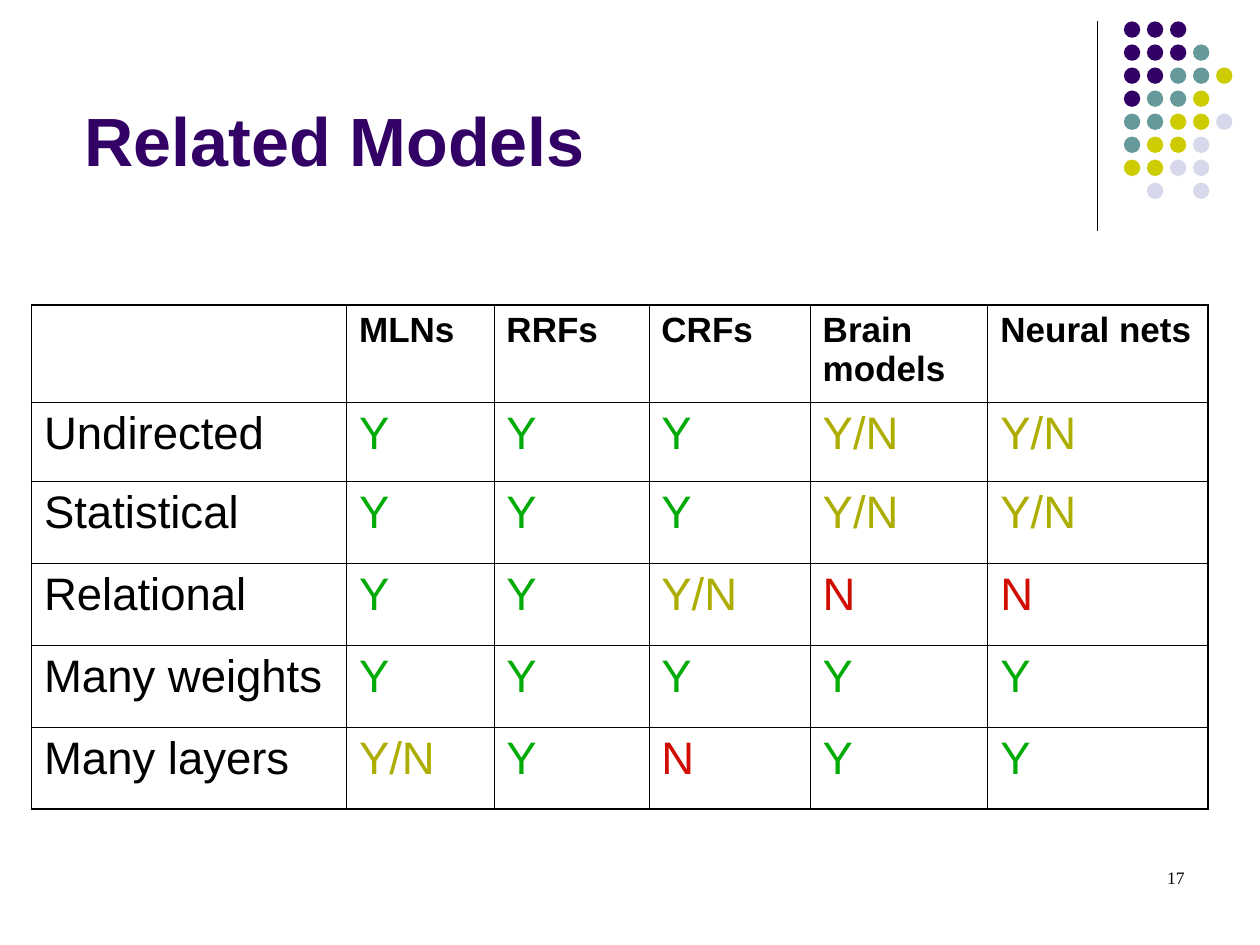
import lxml.etree
import pptx
import pptx.dml.color
import pptx.enum.shapes
import pptx.enum.text
import pptx.oxml
import pptx.oxml.ns
import pptx.util

Inches = pptx.util.Inches
Pt = pptx.util.Pt
RGBColor = pptx.dml.color.RGBColor

BLACK = RGBColor(0x00, 0x00, 0x00)
PURPLE = RGBColor(0x33, 0x00, 0x66)
TEAL = RGBColor(0x66, 0x99, 0x99)
OLIVE = RGBColor(0xCC, 0xCC, 0x00)
LAVENDER = RGBColor(0xD8, 0xD8, 0xEC)
GREEN = RGBColor(0x00, 0xAB, 0x05)
AMBER = RGBColor(0xAD, 0xAD, 0x00)
RED = RGBColor(0xD1, 0x0C, 0x00)

TITLE = "Related Models"
PAGE_NUMBER = "17"
MODEL_ROWS = [
    ["", "MLNs", "RRFs", "CRFs", "Brain models", "Neural nets"],
    ["Undirected", "Y", "Y", "Y", "Y/N", "Y/N"],
    ["Statistical", "Y", "Y", "Y", "Y/N", "Y/N"],
    ["Relational", "Y", "Y", "Y/N", "N", "N"],
    ["Many weights", "Y", "Y", "Y", "Y", "Y"],
    ["Many layers", "Y/N", "Y", "N", "Y", "Y"],
]
COLUMN_WIDTHS = [2.5, 1.17, 1.23, 1.28, 1.41, 1.75]
ROW_HEIGHTS = [0.77, 0.63, 0.65, 0.65, 0.65, 0.65]
ANSWER_COLORS = {"Y": GREEN, "Y/N": AMBER, "N": RED}

DOT_ROWS = ["PPP", "PPPT", "PPTTO", "PTTO", "TTOOL", "TOOL", "OOLL", " L L"]
DOT_COLORS = {"P": PURPLE, "T": TEAL, "O": OLIVE, "L": LAVENDER}
DOT_LEFT, DOT_TOP, DOT_SIZE = 8.92, 0.17, 0.13
DOT_PITCH = 1.28 / 7

INNER_BORDER, OUTER_BORDER = 0.45, 1.08


def add_text(slide, text, box, size, font_name, color, bold=False,
             anchor=pptx.enum.text.MSO_ANCHOR.TOP, alignment=pptx.enum.text.PP_ALIGN.LEFT):
    frame = slide.shapes.add_textbox(*map(Inches, box)).text_frame
    frame.word_wrap = True
    frame.vertical_anchor = anchor
    frame.text = text
    frame.paragraphs[0].alignment = alignment
    style_paragraph(frame.paragraphs[0], size, font_name, color, bold)


def style_paragraph(paragraph, size, font_name, color, bold):
    paragraph.font.size = Pt(size)
    paragraph.font.name = font_name
    paragraph.font.bold = bold
    paragraph.font.color.rgb = color


def set_borders(cell, widths):
    properties = cell._tc.get_or_add_tcPr()
    for position, (side, width) in enumerate(widths.items()):
        border = pptx.oxml.parse_xml(
            f'<a:ln{side} {pptx.oxml.ns.nsdecls("a")} w="{Pt(width)}">'
            f'<a:solidFill><a:srgbClr val="{BLACK}"/></a:solidFill></a:ln{side}>'
        )
        properties.insert(position, border)


def add_dots(slide):
    for row, codes in enumerate(DOT_ROWS):
        for column, code in enumerate(codes):
            if code not in DOT_COLORS:
                continue
            dot = slide.shapes.add_shape(
                pptx.enum.shapes.MSO_SHAPE.OVAL,
                Inches(DOT_LEFT + column * DOT_PITCH), Inches(DOT_TOP + row * DOT_PITCH),
                Inches(DOT_SIZE), Inches(DOT_SIZE),
            )
            dot.shadow.inherit = False
            dot.fill.solid()
            dot.fill.fore_color.rgb = DOT_COLORS[code]
            dot.line.fill.background()


def add_divider(slide):
    divider = slide.shapes.add_connector(
        pptx.enum.shapes.MSO_CONNECTOR.STRAIGHT,
        Inches(8.71), Inches(0.17), Inches(8.71), Inches(1.83),
    )
    divider.line.color.rgb = BLACK
    divider.line.width = Pt(0.75)
    lxml.etree.SubElement(divider._element.spPr, pptx.oxml.ns.qn("a:effectLst"))


def add_model_table(slide):
    last_row, last_column = len(MODEL_ROWS) - 1, len(COLUMN_WIDTHS) - 1
    table = slide.shapes.add_table(
        len(MODEL_ROWS), len(COLUMN_WIDTHS), Inches(0.25), Inches(2.42),
        Inches(sum(COLUMN_WIDTHS)), Inches(sum(ROW_HEIGHTS)),
    ).table
    table.first_row = False
    table.horz_banding = False
    for column, width in zip(table.columns, COLUMN_WIDTHS):
        column.width = Inches(width)
    for row, height in zip(table.rows, ROW_HEIGHTS):
        row.height = Inches(height)
    for row, texts in enumerate(MODEL_ROWS):
        for column, text in enumerate(texts):
            cell = table.cell(row, column)
            cell.text = text
            cell.fill.background()
            style_paragraph(
                cell.text_frame.paragraphs[0], 20 if row == 0 else 26, "Arial",
                ANSWER_COLORS.get(text, BLACK), row == 0,
            )
            on_edge = {"L": column == 0, "R": column == last_column,
                       "T": row == 0, "B": row == last_row}
            set_borders(cell, {side: OUTER_BORDER if edge else INNER_BORDER
                               for side, edge in on_edge.items()})


def main():
    presentation = pptx.Presentation()
    presentation.slide_width = Inches(10)
    presentation.slide_height = Inches(7.5)
    slide = presentation.slides.add_slide(presentation.slide_layouts[6])
    add_divider(slide)
    add_dots(slide)
    add_text(slide, TITLE, (0.57, 0.2, 8.11, 1.28), 39, "Arial", PURPLE, bold=True,
             anchor=pptx.enum.text.MSO_ANCHOR.BOTTOM)
    add_model_table(slide)
    add_text(slide, PAGE_NUMBER, (7.17, 6.83, 2.33, 0.5), 10, "Times New Roman", BLACK,
             alignment=pptx.enum.text.PP_ALIGN.RIGHT)
    presentation.save("out.pptx")


if __name__ == "__main__":
    main()
